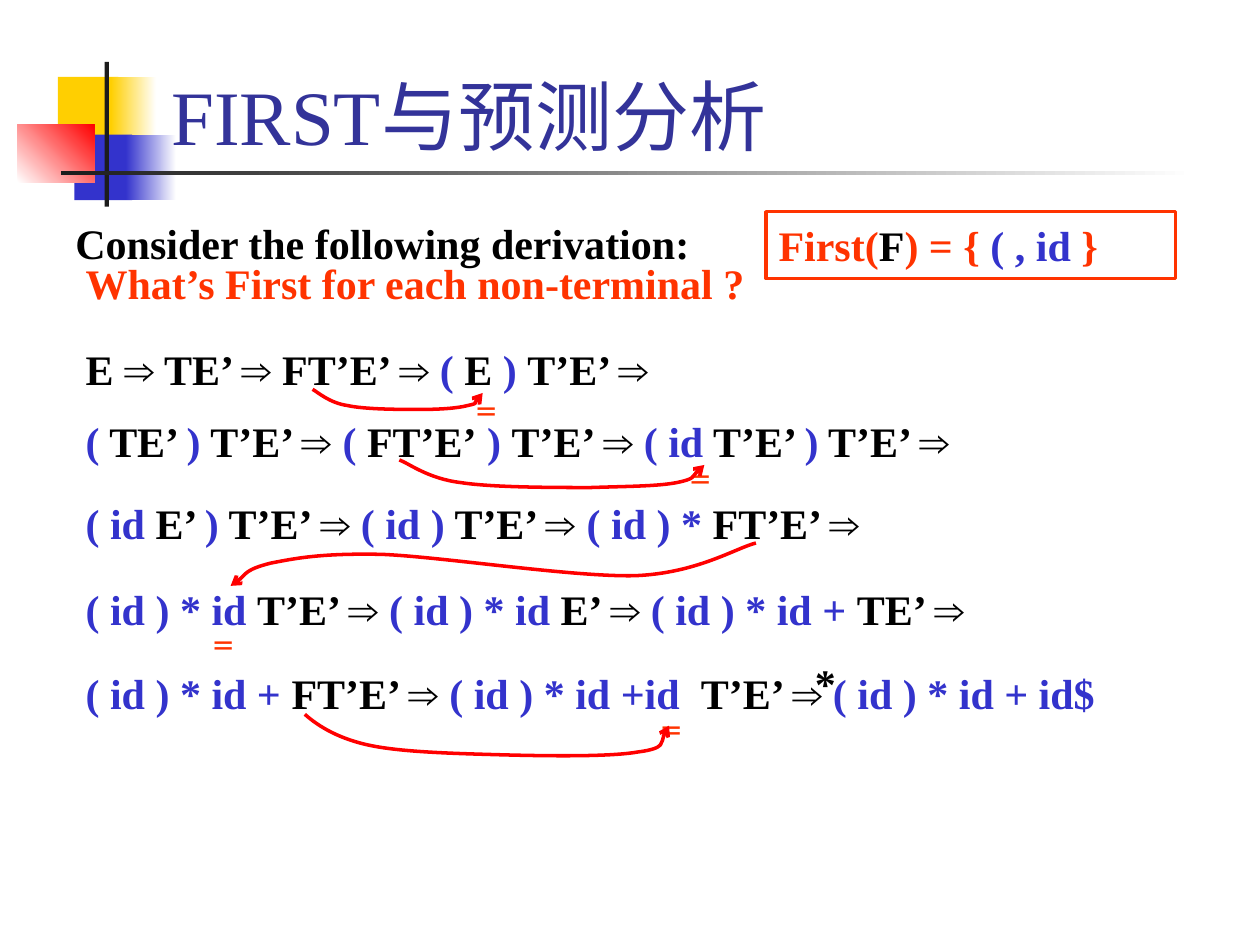
from itertools import cycle
from lxml.etree import SubElement
from pptx import Presentation
from pptx.dml.color import RGBColor
from pptx.enum.shapes import MSO_SHAPE
from pptx.enum.text import MSO_ANCHOR, MSO_AUTO_SIZE, PP_ALIGN
from pptx.oxml.ns import qn
from pptx.util import Pt

COLORS = {"black": "000000", "blue": "3333CC", "orange": "FF3300",
          "red": "FF0000", "gold": "FFCF01", "navy": "333399",
          "dark": "1C1C1C", "white": "FFFFFF"}
FONT = "Times New Roman"


def rgb(name):
    return RGBColor.from_string(COLORS[name])


def write(shape, runs, size=24, bold=True):
    frame = shape.text_frame
    frame.word_wrap = True
    para = frame.paragraphs[0]
    para.alignment = PP_ALIGN.LEFT
    for color, text in runs:
        run = para.add_run()
        run.text = text
        run.font.name = FONT
        run.font.size = Pt(size)
        run.font.bold = bold
        run.font.color.rgb = rgb(color)
    return para


deck = Presentation()
deck.slide_width, deck.slide_height = Pt(720), Pt(540)
slide = deck.slides.add_slide(deck.slide_layouts[5])
shapes = slide.shapes

# Corner blocks and rules: left, top, width, height, colours, angle
blocks = [
    (33.1, 43.9, 34.6, 37.4, ["gold"], 0),
    (63.4, 43.9, 25.9, 37.4, ["gold", "white"], 0),
    (42.5, 77, 33.1, 37.4, ["blue"], 0),
    (72, 77, 28.8, 37.4, ["blue", "white"], 0),
    (10.1, 71.3, 43.9, 33.1, ["white", "red"], 45),
    (59.8, 35.3, 2.4, 82.8, ["dark"], 0),
    (34.6, 97.9, 648, 2.2, ["dark", "white"], 0),
]
for *box, tones, angle in blocks:
    block = shapes.add_shape(MSO_SHAPE.RECTANGLE, *map(Pt, box))
    block.shadow.inherit = False
    block.line.fill.background()
    if len(tones) == 1:
        block.fill.solid()
        block.fill.fore_color.rgb = rgb(tones[0])
    else:
        block.fill.gradient()
        block.fill.gradient_angle = angle
        for stop, tone in zip(block.fill.gradient_stops, tones):
            stop.color.rgb = rgb(tone)

# Title, in front of the blocks
title = shapes.title
shapes._spTree.append(title._element)
title.left, title.top, title.width, title.height = map(Pt, (90.7, 5.8, 613.4, 90))
title.text_frame.vertical_anchor = MSO_ANCHOR.BOTTOM
title.text_frame.auto_size = MSO_AUTO_SIZE.NONE
write(title, [("navy", "FIRST与预测分析")], 44, False)

# Opening lines
intro = shapes.add_textbox(Pt(36), Pt(121), Pt(462), Pt(36))
write(intro, [("black", "Consider the following derivation:")])
ask = shapes.add_textbox(Pt(41.8), Pt(151.2), Pt(408), Pt(27.4))
write(ask, [("orange", "What’s First for each non-terminal ?")]).line_spacing = 0.7

# Derivation: terminals in blue and the rest in black take turns
rows = [
    (193, "black", ["E ⇒ TE’ ⇒ FT’E’ ⇒ ", "( ", "E", " ) ", "T’E’ ⇒"]),
    (234, "blue", ["(", " TE’ ", ")", " T’E’ ⇒ ", "( ", "FT’E’", " ) ",
                   "T’E’ ⇒ ", "( id", " T’E’ ", ")", " T’E’ ⇒"]),
    (280.8, "blue", ["( id", " E’ ", ")", " T’E’ ⇒ ", "( id )", " T’E’ ⇒ ",
                     "( id ) *", " FT’E’ ⇒"]),
    (329.8, "blue", ["( id ) * id ", "T’E’ ⇒ ", "( id ) * id ", "E’ ⇒ ",
                     "( id ) * id + ", "TE’ ⇒"]),
    (378, "blue", ["( id ) * id + ", "FT’E’ ⇒ ", "( id ) * id +id", " ", "",
                   "T’E’ ⇒ ", "( id ) * id + id$"]),
]
for top, first, parts in rows:
    turns = cycle(["blue", "black"] if first == "blue" else ["black", "blue"])
    box = shapes.add_textbox(Pt(41.8), Pt(top), Pt(663), Pt(36))
    line = write(box, [pair for pair in zip(turns, parts) if pair[1]])
# Wider gap after "+id" in the last row
line.runs[3].font._element.set("spc", "600")

star = shapes.add_textbox(Pt(458.6), Pt(372.2), Pt(57.6), Pt(36))
write(star, [("black", "*")])

# Boxed First set
first_set = shapes.add_shape(MSO_SHAPE.RECTANGLE, Pt(437.8), Pt(121), Pt(234), Pt(38.2))
first_set.shadow.inherit = False
first_set.fill.background()
first_set.line.color.rgb = rgb("orange")
first_set.line.width = Pt(2)
write(first_set, [("orange", "First("), ("black", "F"), ("orange", ") = { "),
                  ("blue", "( , id"), ("orange", " }")])

# Match marks, set as subscripts
for left, top in [(370, 389.5), (264.2, 207.4), (386.6, 246.2), (113.8, 341.3)]:
    mark = shapes.add_textbox(Pt(left), Pt(top), Pt(32.4), Pt(26.6))
    para = write(mark, [("orange", "＝")])
    para.runs[0].font._element.set("baseline", "-25000")

# Curved arrows: a start, then three points for each Bezier piece
curves = [
    [(178.6, 222.5), (182.2, 224.6), (188.6, 230.4), (198.7, 231.8),
     (208.8, 234), (229, 234), (239.8, 234), (251.3, 234), (261.4, 233.3),
     (267.1, 231.8), (273.6, 230.4), (274.3, 226.1), (275.8, 224.6)],
    [(174.2, 408.2), (182.2, 415.4), (194.4, 422.6), (212.4, 426.2),
     (230.4, 429.8), (258.5, 430.6), (283.7, 431.3), (308.9, 432),
     (347.8, 432.7), (364.3, 429.8), (380.9, 427.7), (378.7, 417.6), (382.3, 414.7)],
    [(228.2, 262.8), (234, 265), (244.8, 273.6), (263.5, 275.8),
     (281.5, 278.6), (317.5, 278.6), (337.7, 278.6), (358.6, 277.9),
     (375.8, 277.9), (386.6, 275.8), (397.4, 273.6), (398.9, 267.8), (402.5, 265.7)],
    [(432, 310.3), (420.5, 313.2), (398.2, 327.6), (362.9, 329),
     (326.9, 329.8), (252.7, 318.2), (218.2, 316.8), (183.6, 316.1),
     (169.2, 319), (154.8, 321.8), (140.4, 325.4), (136.8, 332.6), (131.8, 334.8)],
]
for start, *rest in curves:
    pen = shapes.build_freeform(*map(Pt, start))
    pen.add_line_segments([(Pt(x), Pt(y)) for x, y in rest], close=False)
    arrow = pen.convert_to_shape()
    arrow.shadow.inherit = False
    arrow.fill.background()
    arrow.line.color.rgb = rgb("red")
    arrow.line.width = Pt(2)
    SubElement(arrow.line._get_or_add_ln(), qn("a:tailEnd"), type="arrow")
    # Join each three points into one Bezier piece
    route = arrow._element.xpath(".//a:path")[0]
    steps = route.findall(qn("a:lnTo"))
    for i in range(0, len(steps), 3):
        bend = SubElement(route, qn("a:cubicBezTo"))
        for step in steps[i:i + 3]:
            bend.append(step[0])
            route.remove(step)

deck.save("out.pptx")
